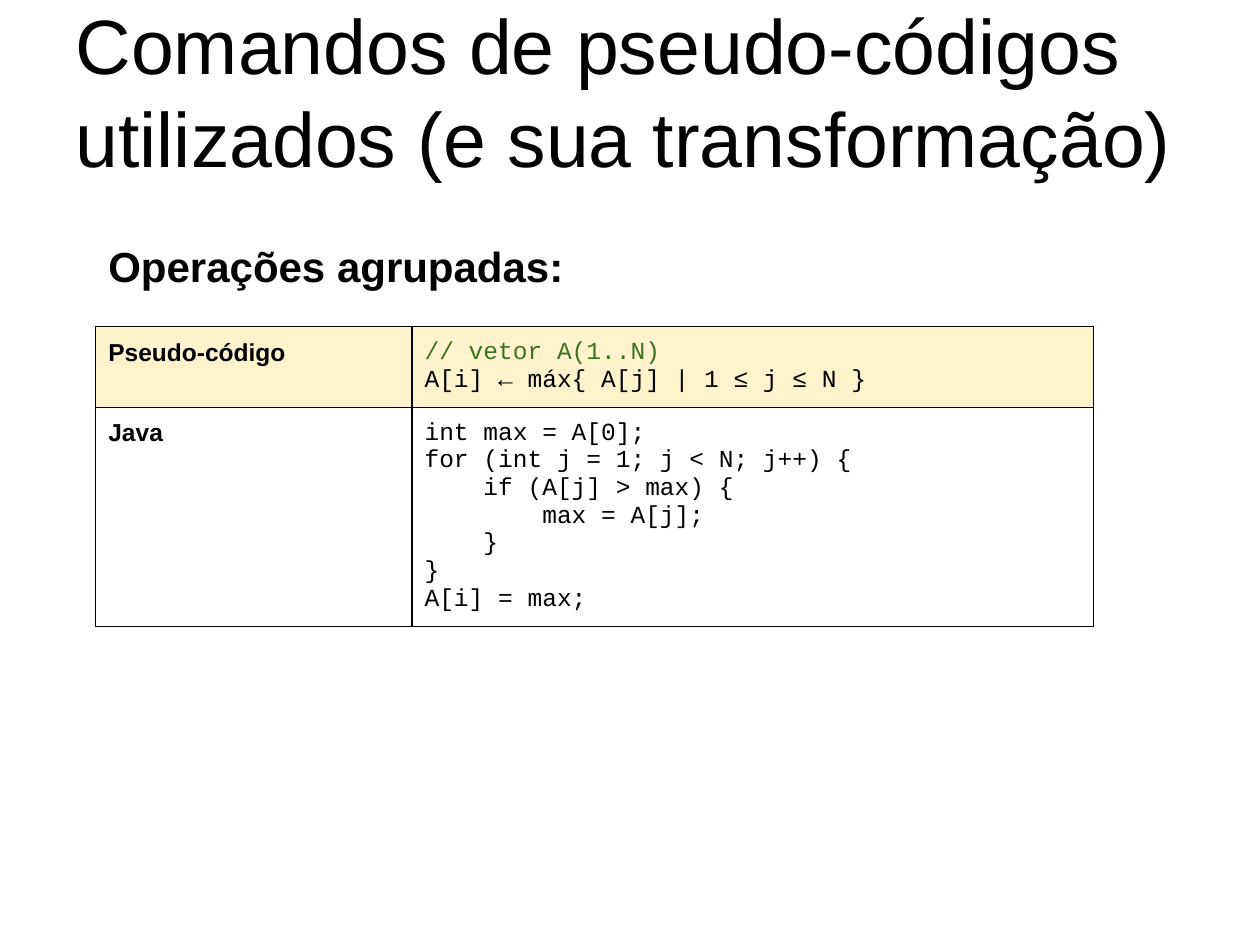
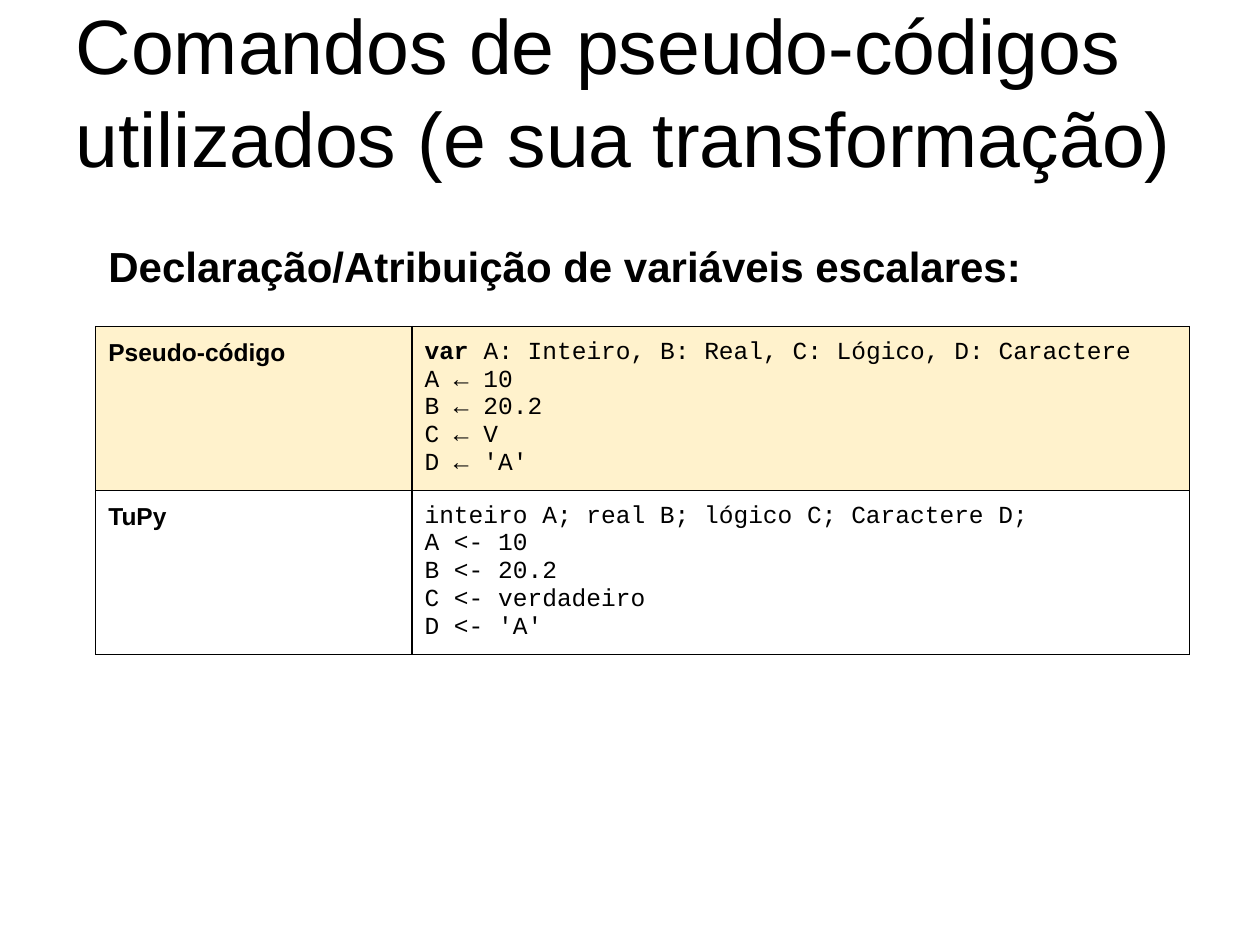
from lxml import etree
from pptx import Presentation
from pptx.dml.color import RGBColor
from pptx.enum.text import MSO_ANCHOR, MSO_AUTO_SIZE, PP_ALIGN
from pptx.oxml.ns import qn
from pptx.util import Inches, Pt

TITLE = "Comandos de pseudo-códigos utilizados (e sua transformação)"
KEYWORD = "var "
COMMENT = "//"
PAGES = [
    {
        "heading": "Operações agrupadas:",
        "code_width": 5.41,
        "rows": [
            ("Pseudo-código", [
                "// vetor A(1..N)",
                "A[i] ← máx{ A[j] | 1 ≤ j ≤ N }",
            ]),
            ("Java", [
                "int max = A[0];",
                "for (int j = 1; j < N; j++) {",
                "    if (A[j] > max) {",
                "        max = A[j];",
                "    }",
                "}",
                "A[i] = max;",
            ]),
        ],
    },
    {
        "heading": "Declaração/Atribuição de variáveis escalares:",
        "code_width": 6.17,
        "rows": [
            ("Pseudo-código", [
                "var A: Inteiro, B: Real, C: Lógico, D: Caractere",
                "A ← 10",
                "B ← 20.2",
                "C ← V",
                "D ← 'A'",
            ]),
            ("TuPy", [
                "inteiro A; real B; lógico C; Caractere D;",
                "A <- 10",
                "B <- 20.2",
                "C <- verdadeiro",
                "D <- 'A'",
            ]),
        ],
    },
]

BLACK = RGBColor(0x00, 0x00, 0x00)
GREEN = RGBColor(0x38, 0x76, 0x1D)
CREAM = RGBColor(0xFF, 0xF2, 0xCC)
TEXT_FONT, CODE_FONT = "Arial", "Courier New"
LEFT, TABLE_TOP, LABEL_WIDTH = 0.76, 2.59, 2.51
PADDING, LINE_HEIGHT = 0.1, 0.22


def set_font(para, name, size, bold=False, color=BLACK):
    font = para.font
    font.name, font.size, font.bold = name, Pt(size), bold
    font.color.rgb = color


def set_margins(target):
    for side in ("left", "right", "top", "bottom"):
        setattr(target, f"margin_{side}", Inches(PADDING))


def fill_placeholder(holder, text, place, anchor, size, bold=False):
    holder.left, holder.top, holder.width, holder.height = map(Inches, place)
    frame = holder.text_frame
    frame.text = text
    frame.word_wrap = True
    frame.auto_size = MSO_AUTO_SIZE.NONE
    frame.vertical_anchor = anchor
    set_margins(frame)
    para = frame.paragraphs[0]
    para.alignment = PP_ALIGN.LEFT
    para.space_before = Pt(0)
    props = para._p.get_or_add_pPr()
    props.set("marL", "0")
    props.set("indent", "0")
    etree.SubElement(props, qn("a:buNone"))
    set_font(para, TEXT_FONT, size, bold)
    return para


def add_borders(cell):
    props = cell._tc.get_or_add_tcPr()
    for side in "LRTB":
        line = etree.SubElement(props, qn(f"a:ln{side}"), w=str(Pt(0.75)))
        fill = etree.SubElement(line, qn("a:solidFill"))
        etree.SubElement(fill, qn("a:srgbClr"), val=str(BLACK))


def write_code(frame, lines):
    for index, line in enumerate(lines):
        para = frame.add_paragraph() if index else frame.paragraphs[0]
        color = GREEN if line.startswith(COMMENT) else BLACK
        set_font(para, CODE_FONT, 14, color=color)
        if line.startswith(KEYWORD):
            span = para.add_run()
            span.text = KEYWORD
            span.font.bold = True
            line = line.removeprefix(KEYWORD)
        para.add_run().text = line


def add_code_table(page, rows, code_width):
    widths = (LABEL_WIDTH, code_width)
    heights = [2 * PADDING + LINE_HEIGHT * len(lines) for _, lines in rows]
    table = page.shapes.add_table(
        len(rows), len(widths), Inches(LEFT), Inches(TABLE_TOP),
        Inches(sum(widths)), Inches(sum(heights))).table
    table.first_row = table.horz_banding = False
    for column, width in zip(table.columns, widths):
        column.width = Inches(width)
    for index, (label, lines) in enumerate(rows):
        table.rows[index].height = Inches(heights[index])
        label_cell, code_cell = table.rows[index].cells
        for cell in (label_cell, code_cell):
            set_margins(cell)
            add_borders(cell)
            if index == 0:
                cell.fill.solid()
                cell.fill.fore_color.rgb = CREAM
            else:
                cell.fill.background()
        label_cell.text = label
        set_font(label_cell.text_frame.paragraphs[0], TEXT_FONT, 14, True)
        write_code(code_cell.text_frame, lines)


def main():
    deck = Presentation()
    deck.slide_width, deck.slide_height = Inches(10), Inches(7.5)
    for content in PAGES:
        page = deck.slides.add_slide(deck.slide_layouts[1])
        fill_placeholder(page.shapes.title, TITLE, (0.5, 0.3, 9, 1.25),
                         MSO_ANCHOR.BOTTOM, 44)
        heading = fill_placeholder(
            page.placeholders[1], content["heading"],
            (LEFT, 1.75, 7.92, 5.43), MSO_ANCHOR.TOP, 24, True)
        heading.line_spacing = 1.15
        add_code_table(page, content["rows"], content["code_width"])
    deck.save("out.pptx")


if __name__ == "__main__":
    main()
